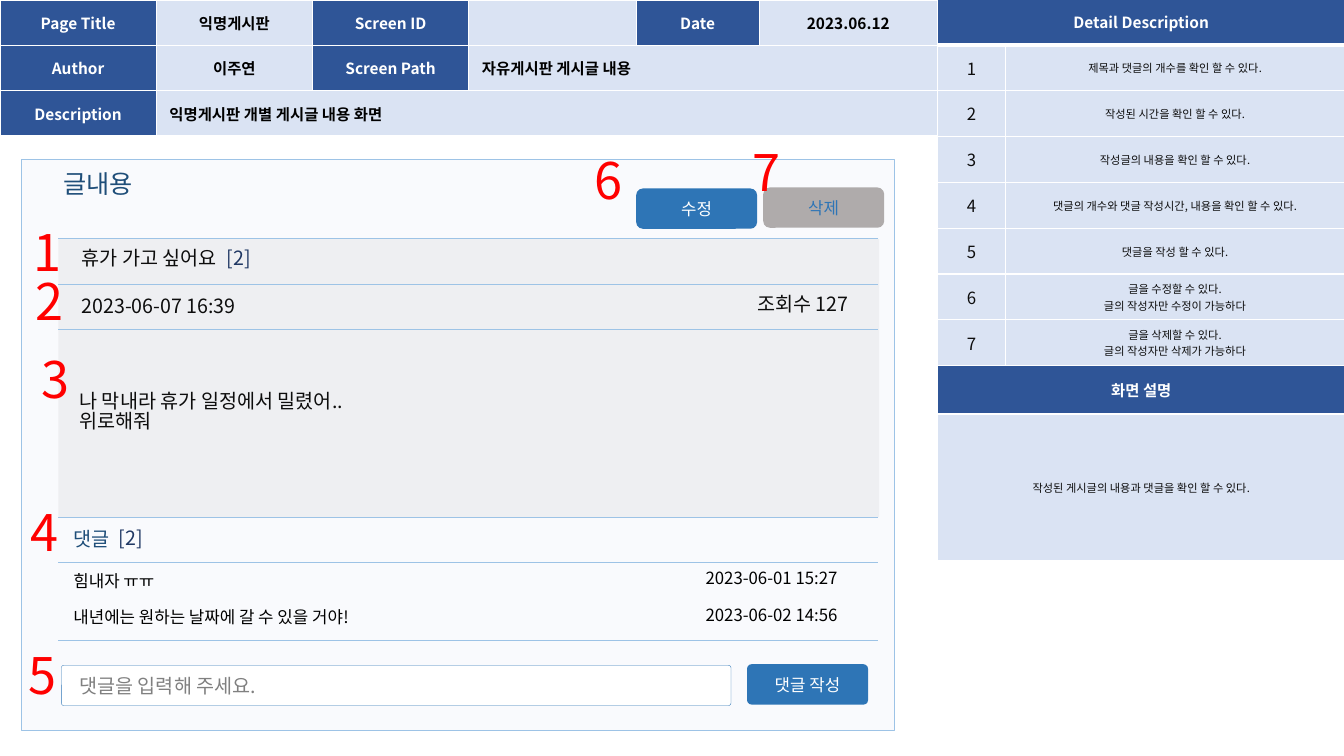
from lxml.etree import SubElement
from pptx import Presentation
from pptx.dml.color import RGBColor
from pptx.enum.shapes import MSO_CONNECTOR, MSO_SHAPE
from pptx.enum.text import MSO_ANCHOR, MSO_AUTO_SIZE, PP_ALIGN
from pptx.oxml.ns import qn
from pptx.util import Inches, Pt

FONT = "Noto Sans CJK KR"
NAVY, PALE, WHITE, BLACK, INK = "2F5597", "DAE3F3", "FFFFFF", "000000", "0D0D0D"
SKY, BLUE, TEAL, GREY, RED = "9DC3E6", "2E75B6", "1F4E79", "AFABAB", "FF0000"


def rgb(value):
    return RGBColor.from_string(value)


def write(tf, text, size=11, color=BLACK, bold=False, align=PP_ALIGN.LEFT,
          spacing=None, gap=0):
    for i, line in enumerate(text.split("\n")):
        p = tf.paragraphs[0] if i == 0 else tf.add_paragraph()
        p.alignment = align
        p.line_spacing = spacing
        p.space_before = Pt(gap if i else 0)
        r = p.add_run()
        r.text = line
        r.font.size = Pt(size)
        r.font.bold = bold
        r.font.color.rgb = rgb(color)
        r.font.name = FONT
        SubElement(r._r.get_or_add_rPr(), qn("a:ea"), typeface=FONT)


class Board:
    def __init__(self, prs):
        self.s = prs.slides.add_slide(prs.slide_layouts[5])

    def title(self, text, x, y, w, h, behind, **style):
        sp = self.s.shapes.title
        sp.left, sp.top, sp.width, sp.height = map(Inches, (x, y, w, h))
        tf = sp.text_frame
        tf.auto_size = MSO_AUTO_SIZE.NONE
        tf.vertical_anchor = MSO_ANCHOR.TOP
        write(tf, text, spacing=0.84, **style)
        behind._element.addnext(sp._element)

    def text(self, text, x, y, w, h=0.34, size=14, color=INK, gap=0):
        sp = self.s.shapes.add_textbox(*map(Inches, (x, y, w, h)))
        sp.text_frame.word_wrap = True
        write(sp.text_frame, text, size, color, spacing=0.84, gap=gap)

    def shape(self, x, y, w, h, fill, line=None, width=0.5, adj=None,
              opacity=None, rounded=False):
        kind = MSO_SHAPE.ROUNDED_RECTANGLE if rounded else MSO_SHAPE.RECTANGLE
        sp = self.s.shapes.add_shape(kind, *map(Inches, (x, y, w, h)))
        sp.shadow.inherit = False
        sp.fill.solid()
        sp.fill.fore_color.rgb = rgb(fill)
        if opacity:
            clr = sp._element.spPr.find(qn("a:solidFill"))[0]
            SubElement(clr, qn("a:alpha"), val=str(opacity * 1000))
        if line:
            sp.line.color.rgb = rgb(line)
            sp.line.width = Pt(width)
        else:
            sp.line.fill.background()
        if adj:
            sp.adjustments[0] = adj
        return sp

    def button(self, text, x, y, fill=BLUE, color=WHITE, adj=None):
        sp = self.shape(x, y, 1.2, 0.4, fill, adj=adj, rounded=True)
        sp.text_frame.vertical_anchor = MSO_ANCHOR.MIDDLE
        write(sp.text_frame, text, 12, color, align=PP_ALIGN.CENTER)

    def field(self, text, x, y, w, h):
        sp = self.shape(x, y, w, h, WHITE, BLUE, 0.25, 0.062, rounded=True)
        tf = sp.text_frame
        tf.margin_left = Inches(0.17)
        tf.vertical_anchor = MSO_ANCHOR.MIDDLE
        write(tf, text, 14, "808080")

    def rule(self, y):
        c = self.s.shapes.add_connector(
            MSO_CONNECTOR.STRAIGHT, *map(Inches, (0.58, y, 8.71, y)))
        c.line.color.rgb = rgb(SKY)
        c.line.width = Pt(0.5)
        SubElement(c._element.spPr, qn("a:effectLst"))

    def table(self, x, y, cols, rows):
        frame = self.s.shapes.add_table(
            len(rows), len(cols), *map(Inches, (x, y, sum(cols), sum(rows))))
        t = frame.table
        t.first_row = t.horz_banding = False
        for col, w in zip(t.columns, cols):
            col.width = Inches(w)
        for row, h in zip(t.rows, rows):
            row.height = Inches(h)
        for cell in t.iter_cells():
            self.cell(cell, PALE)
        return t

    def cell(self, cell, fill, bottom=1):
        tcPr = cell._tc.get_or_add_tcPr()
        for old in list(tcPr):
            tcPr.remove(old)
        for side in "LRTB":
            width = Pt(bottom if side == "B" else 1)
            ln = SubElement(tcPr, qn("a:ln" + side), w=str(width))
            SubElement(SubElement(ln, qn("a:solidFill")), qn("a:srgbClr"), val=WHITE)
        cell.fill.solid()
        cell.fill.fore_color.rgb = rgb(fill)
        cell.vertical_anchor = MSO_ANCHOR.MIDDLE
        cell.margin_left = cell.margin_right = Inches(0.13)
        cell.margin_top = cell.margin_bottom = Inches(0.04)

    def head(self, cell, text, bottom=1):
        self.cell(cell, NAVY, bottom)
        write(cell.text_frame, text, 11, WHITE, True, PP_ALIGN.CENTER)


def add_page_info(b):
    t = b.table(0, 0, [1.55, 1.55, 1.55, 1.66, 1.22, 1.77], [0.45] * 3)
    t.cell(1, 3).merge(t.cell(1, 5))
    t.cell(2, 1).merge(t.cell(2, 5))
    heads = {(0, 0): "Page Title", (0, 2): "Screen ID", (0, 4): "Date",
             (1, 0): "Author", (1, 2): "Screen Path", (2, 0): "Description"}
    for at, text in heads.items():
        b.head(t.cell(*at), text)
    values = {(0, 1): "익명게시판", (0, 5): "2023.06.12", (1, 1): "이주연",
              (1, 3): "자유게시판 게시글 내용", (2, 1): "익명게시판 개별 게시글 내용 화면"}
    for at, text in values.items():
        cell = t.cell(*at)
        align = PP_ALIGN.LEFT if cell.is_merge_origin else PP_ALIGN.CENTER
        write(cell.text_frame, text, 11, BLACK, True, align)


def add_details(b):
    details = ["제목과 댓글의 개수를 확인 할 수 있다.", "작성된 시간을 확인 할 수 있다.",
               "작성글의 내용을 확인 할 수 있다.",
               "댓글의 개수와 댓글 작성시간, 내용을 확인 할 수 있다.",
               "댓글을 작성 할 수 있다.",
               "글을 수정할 수 있다.\n글의 작성자만 수정이 가능하다",
               "글을 삭제할 수 있다.\n글의 작성자만 삭제가 가능하다"]
    t = b.table(9.3, -0.01, [0.67, 3.37], [3.64 / 8] * 8 + [0.48, 1.45])
    for row in (0, 8, 9):
        t.cell(row, 0).merge(t.cell(row, 1))
    b.head(t.cell(0, 0), "Detail Description", 3)
    for i, text in enumerate(details, 1):
        write(t.cell(i, 0).text_frame, str(i), 12, INK, align=PP_ALIGN.CENTER)
        write(t.cell(i, 1).text_frame, text, 8, INK, align=PP_ALIGN.CENTER)
    b.head(t.cell(8, 0), "화면 설명")
    write(t.cell(9, 0).text_frame, "작성된 게시글의 내용과 댓글을 확인 할 수 있다.",
          8, INK, align=PP_ALIGN.CENTER)


def add_post(b):
    panel = b.shape(0.21, 1.58, 8.66, 5.67, "F9FAFD", SKY)
    b.title("글내용", 0.53, 1.67, 2.45, 0.4, panel, size=18, color=TEAL)
    b.shape(0.58, 2.37, 8.14, 2.76, "767171", opacity=8)
    for y in (2.36, 2.82, 3.27, 5.13, 5.58, 6.35):
        b.rule(y)
    b.text("휴가 가고 싶어요", 0.71, 2.43, 5.69)
    b.text("[2]", 2.15, 2.43, 0.64, color="203864")
    b.text("2023-06-07 16:39", 0.71, 2.9, 5.69)
    b.text("조회수 127", 7.41, 2.88, 1.52)
    b.text("나 막내라 휴가 일정에서 밀렸어..\n위로해줘", 0.69, 3.85, 5.69, 0.57)
    b.button("수정", 6.31, 1.87)
    b.button("삭제", 7.57, 1.86, GREY, BLUE)
    b.text("댓글", 0.63, 5.22, 5.69, color=TEAL)
    b.text("[2]", 1.08, 5.21, 0.64, color="203864")
    b.text("힘내자 ㅠㅠ\n내년에는 원하는 날짜에 갈 수 있을 거야!",
           0.63, 5.64, 3.87, 0.71, 12, BLACK, 14)
    b.text("2023-06-01 15:27\n2023-06-02 14:56", 6.9, 5.62, 3.53, 0.71, 12, BLACK, 14)
    b.field("댓글을 입력해 주세요.", 0.61, 6.6, 6.64, 0.4)
    b.button("댓글 작성", 7.41, 6.59, adj=0.111)
    marks = [(0.23, 2.24), (0.25, 2.73), (0.31, 3.5), (0.2, 5.02),
             (0.18, 6.44), (5.8, 1.53), (7.37, 1.45)]
    for i, (x, y) in enumerate(marks, 1):
        b.text(str(i), x, y, 0.64, 0.71, 36, RED)


def main():
    prs = Presentation()
    prs.slide_width, prs.slide_height = Inches(13.33), Inches(7.5)
    b = Board(prs)
    add_page_info(b)
    add_details(b)
    add_post(b)
    prs.save("out.pptx")


if __name__ == "__main__":
    main()
